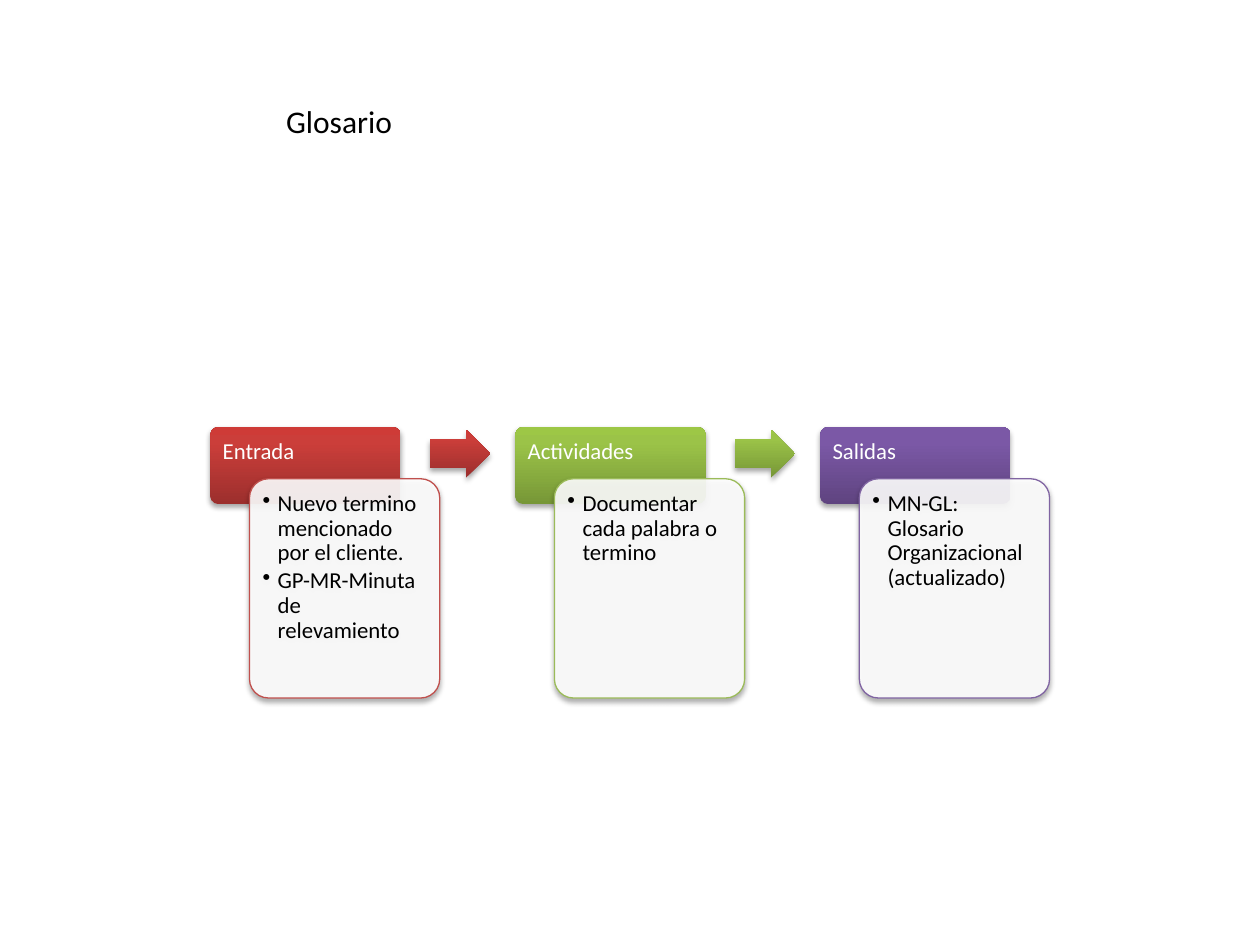
from pptx import Presentation
from pptx.dml.color import RGBColor
from pptx.enum.shapes import MSO_SHAPE as Shape
from pptx.enum.text import MSO_ANCHOR as Anchor, PP_ALIGN as Align
from pptx.oxml.ns import qn
from pptx.util import Inches, Pt
from lxml.etree import SubElement

TITLE = "Glosario"
# heading, bullet items, outline colour, gradient colours from bottom to top
STAGES = [
    ("Entrada", ["Nuevo termino mencionado por el cliente.",
                 "GP-MR-Minuta de relevamiento"],
     RGBColor(0xC0, 0x50, 0x4D), ("9C2F2D", "CB3E3A", "CE3B37")),
    ("Actividades", ["Documentar cada palabra o termino"],
     RGBColor(0x9B, 0xBB, 0x59), ("779737", "9BC348", "9DC746")),
    ("Salidas", ["MN-GL: Glosario Organizacional (actualizado)"],
     RGBColor(0x80, 0x64, 0xA2), ("5F4480", "7B58A6", "7C57A8")),
]
GRADIENT_STOPS = (0, 80, 100)
WHITE = RGBColor(0xFF, 0xFF, 0xFF)
BLACK = RGBColor(0, 0, 0)
FONT = "Calibri"

LEFT, TOP, PITCH = 1.67, 3.39, 2.42
CARD_WIDTH, HEADER_HEIGHT, PANEL_HEIGHT = 1.51, 0.61, 1.74
PANEL_SHIFT = (0.31, 0.41)
ARROW_SHIFT = (1.74, 0.02)
ARROW_SIZE = (0.48, 0.38)


def add_child(parent, tag, **attributes):
    """Append an XML element with the given attributes."""
    return SubElement(parent, qn(tag), attributes)


def add_block(slide, kind, left, top, width, height, adjustments):
    """Add a preset shape with a soft shadow below it."""
    block = slide.shapes.add_shape(
        kind, Inches(left), Inches(top), Inches(width), Inches(height))
    for index, value in enumerate(adjustments):
        block.adjustments[index] = value
    block.shadow.inherit = False
    effects = block.element.spPr.find(qn("a:effectLst"))
    shadow = add_child(effects, "a:outerShdw", blurRad=str(Pt(3.1)),
                       dist=str(Pt(1.8)), dir="5400000", rotWithShape="0")
    color = add_child(shadow, "a:srgbClr", val="000000")
    add_child(color, "a:alpha", val="35000")
    return block


def fill_gradient(block, colors):
    """Fill a shape with a vertical gradient and no outline."""
    block.fill.gradient()
    block.fill.gradient_angle = 90
    stops = block.element.spPr.find(qn("a:gradFill")).find(qn("a:gsLst"))
    stops.clear()
    for position, color in zip(GRADIENT_STOPS, colors):
        stop = add_child(stops, "a:gs", pos=str(position * 1000))
        add_child(stop, "a:srgbClr", val=color)
    block.line.fill.background()


def write(shape, texts, color, inset, bullets=False):
    """Write top-left paragraphs, with bullets if asked."""
    frame = shape.text_frame
    frame.word_wrap = True
    frame.vertical_anchor = Anchor.TOP
    frame.margin_left = frame.margin_right = Inches(inset)
    frame.margin_top = frame.margin_bottom = Inches(inset)
    frame.text = "\n".join(texts)
    for para in frame.paragraphs:
        para.alignment = Align.LEFT
        para.line_spacing = 0.9
        para.space_after = Pt(2)
        para.font.name, para.font.size = FONT, Pt(13)
        para.font.color.rgb = color
        if bullets:
            properties = para._p.get_or_add_pPr()
            properties.set("marL", str(Inches(0.12)))
            properties.set("indent", str(Inches(-0.12)))
            bullet = add_child(properties, "a:buChar", char="•")
            properties.remove(bullet)
            properties.find(qn("a:spcAft")).addnext(bullet)


def add_title(slide):
    """Move and format the title placeholder."""
    title = slide.shapes.title
    title.left, title.top = Inches(2.17), Inches(0.76)
    title.width, title.height = Inches(2.05), Inches(0.71)
    title.text_frame.text = TITLE
    title.text_frame.vertical_anchor = Anchor.TOP
    para = title.text_frame.paragraphs[0]
    para.alignment = Align.LEFT
    para.font.name, para.font.size = FONT, Pt(18)
    para.font.color.rgb = BLACK


def add_stage(slide, index, heading, items, outline, gradient):
    """Add a header, its panel and the arrow to the next stage."""
    left = LEFT + index * PITCH
    header = add_block(slide, Shape.ROUNDED_RECTANGLE, left, TOP,
                       CARD_WIDTH, HEADER_HEIGHT, [0.1])
    fill_gradient(header, gradient)
    write(header, [heading], WHITE, 0.08)

    panel = add_block(slide, Shape.ROUNDED_RECTANGLE, left + PANEL_SHIFT[0],
                      TOP + PANEL_SHIFT[1], CARD_WIDTH, PANEL_HEIGHT, [0.1])
    panel.fill.solid()
    panel.fill.fore_color.rgb = WHITE
    fill_color = panel.element.spPr.find(qn("a:solidFill"))[0]
    add_child(fill_color, "a:alpha", val="90000")
    panel.line.color.rgb = outline
    panel.line.width = Pt(0.75)
    write(panel, items, BLACK, 0.06, bullets=True)

    if index < len(STAGES) - 1:
        arrow = add_block(slide, Shape.RIGHT_ARROW, left + ARROW_SHIFT[0],
                          TOP + ARROW_SHIFT[1], *ARROW_SIZE, [0.6, 0.5])
        fill_gradient(arrow, gradient)


deck = Presentation()
deck.slide_width, deck.slide_height = Inches(10), Inches(7.5)
page = deck.slides.add_slide(deck.slide_layouts[5])
add_title(page)
for number, stage in enumerate(STAGES):
    add_stage(page, number, *stage)
deck.save("out.pptx")
